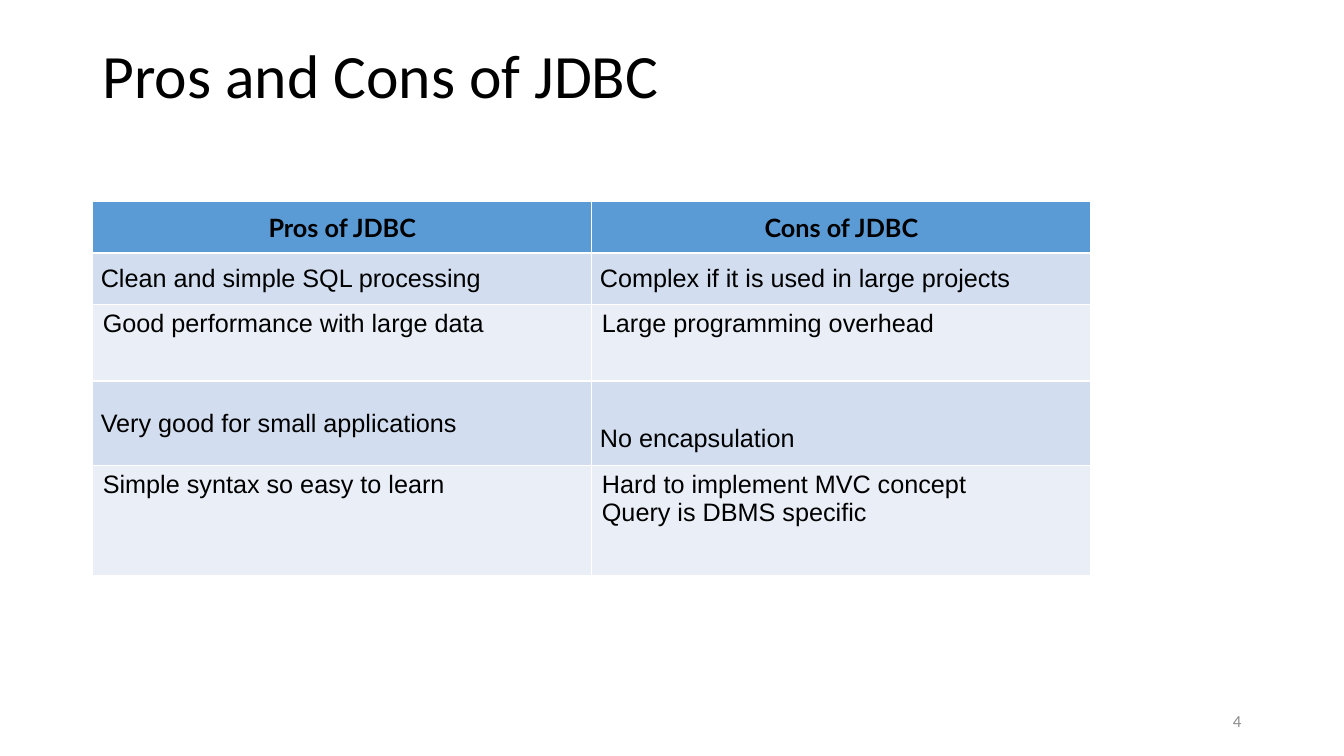
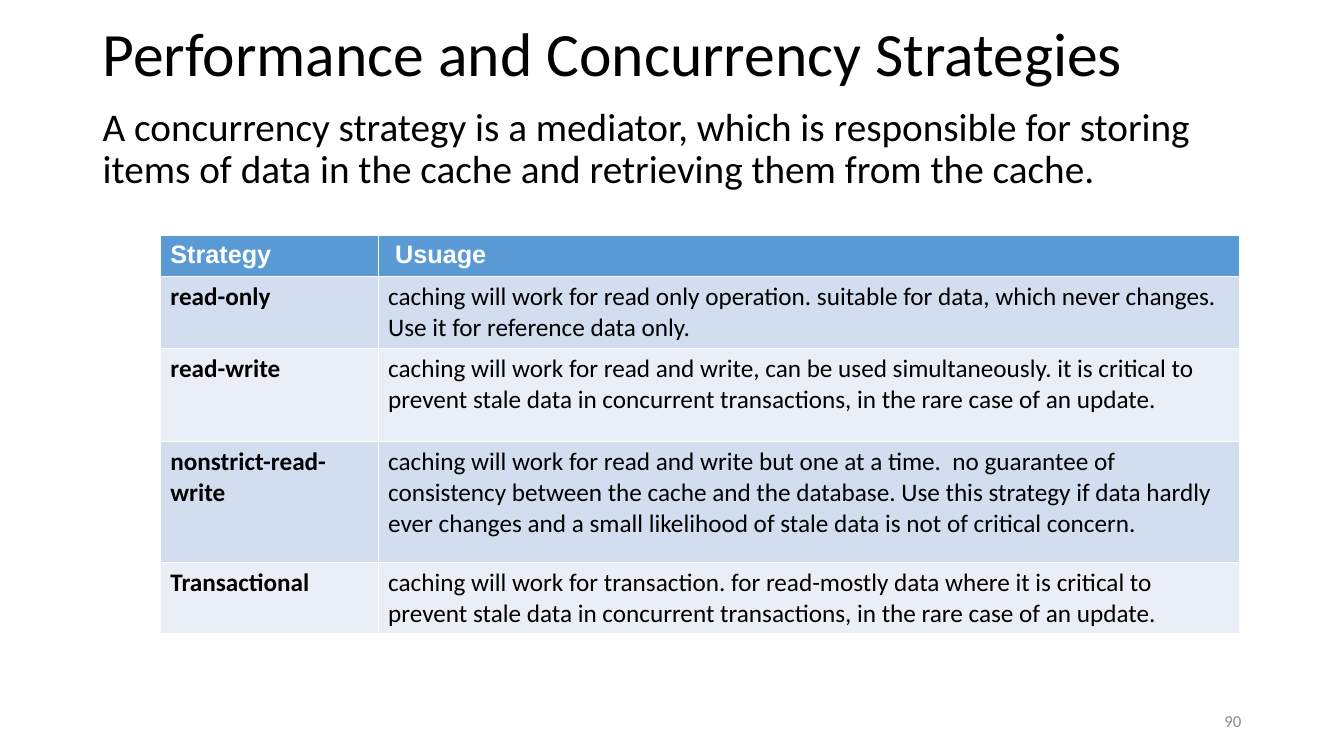
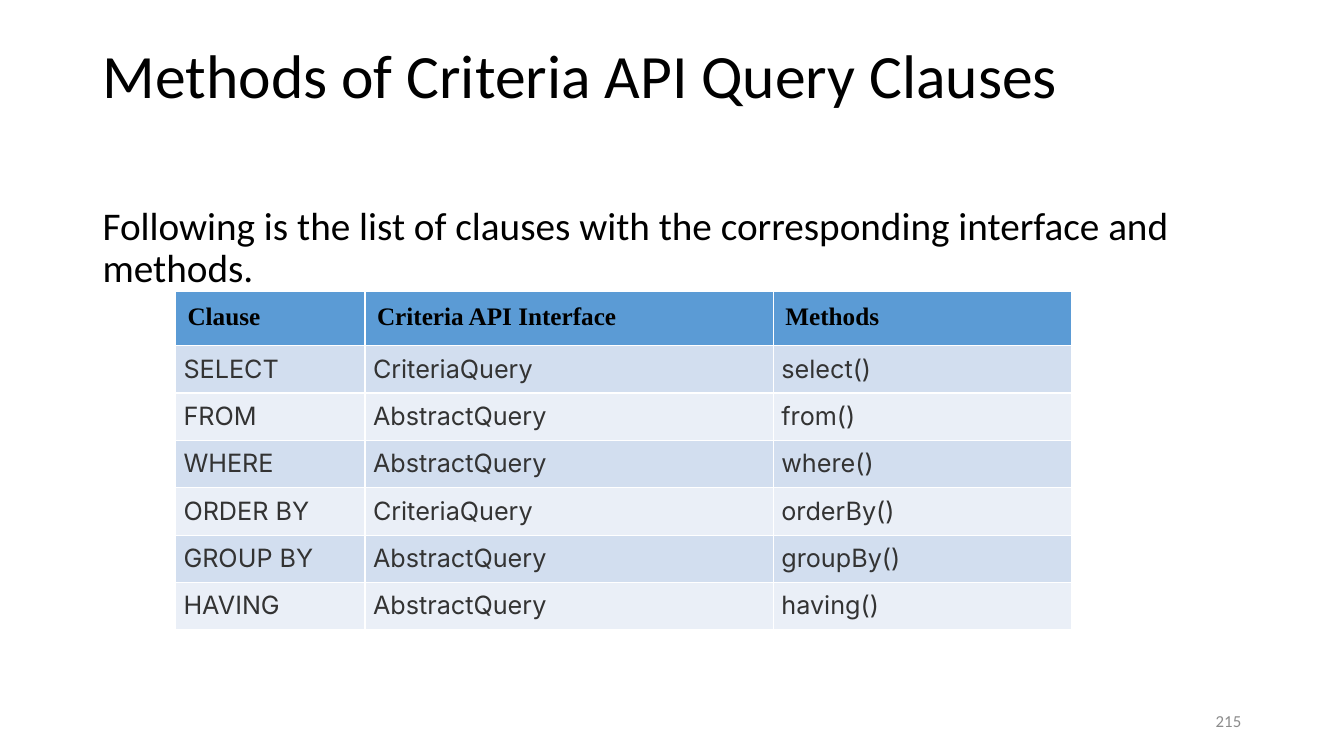
from lxml import etree
from pptx import Presentation
from pptx.dml.color import RGBColor
from pptx.enum.text import MSO_ANCHOR, PP_ALIGN
from pptx.oxml.ns import qn
from pptx.util import Inches, Pt

LEFT, CENTER, RIGHT, JUSTIFY = PP_ALIGN.LEFT, PP_ALIGN.CENTER, PP_ALIGN.RIGHT, PP_ALIGN.JUSTIFY
TOP, MIDDLE = MSO_ANCHOR.TOP, MSO_ANCHOR.MIDDLE

BLACK = RGBColor(0x00, 0x00, 0x00)
WHITE = RGBColor(0xFF, 0xFF, 0xFF)
CHARCOAL = RGBColor(0x33, 0x33, 0x33)
GRAY = RGBColor(0x8C, 0x8C, 0x8C)
HEADER_BLUE = RGBColor(0x5B, 0x9B, 0xD5)
BANDS = [RGBColor(0xEA, 0xEF, 0xF7), RGBColor(0xD2, 0xDE, 0xEF)]

# Shared page grid, in inches
SLIDE_WIDTH, SLIDE_HEIGHT = 13.33, 7.5
MARGIN = 0.92
CONTENT_WIDTH = SLIDE_WIDTH - 2 * MARGIN
NUMBER_WIDTH = 3
NUMBER_LEFT = SLIDE_WIDTH - MARGIN - NUMBER_WIDTH
TABLE_SIZE = 18


def write(frame, text, font, size, color, bold=False, align=LEFT, spacing=None):
    """Fill a text frame or a cell's text frame and format every run."""
    frame.text = text
    frame.word_wrap = True
    for para in frame.paragraphs:
        para.alignment = align
        if spacing:
            para.line_spacing = spacing
        for span in para.runs:
            span.font.name = font
            span.font.size = Pt(size)
            span.font.bold = bold
            span.font.color.rgb = color


def add_grid(page, left, top, columns, heights, texts, header_style, body_style):
    """Add a banded table; each style is a dict of arguments for write."""
    table = page.shapes.add_table(
        len(heights), len(columns), Inches(left), Inches(top),
        Inches(sum(columns)), Inches(sum(heights))).table
    for column, width in zip(table.columns, columns):
        column.width = Inches(width)
    for number, (height, row_texts) in enumerate(zip(heights, texts)):
        table.rows[number].height = Inches(height)
        for cell, text in zip(table.rows[number].cells, row_texts):
            cell.fill.solid()
            cell.fill.fore_color.rgb = BANDS[number % 2] if number else HEADER_BLUE
            write(cell.text_frame, text, size=TABLE_SIZE,
                  **(body_style if number else header_style))
    return table


deck = Presentation()
deck.slide_width, deck.slide_height = Inches(SLIDE_WIDTH), Inches(SLIDE_HEIGHT)

# Title, title top and height, bullet, bullet top and height, page number
outlines = [
    ("Pros and Cons of JDBC", 0.4, 1.45, None, 0, 0, "4"),
    ("Performance and Concurrency Strategies", 0.18, 0.84,
     "A concurrency strategy is a mediator, which is responsible for storing items of data "
     "in the cache and retrieving them from the cache.", 1.02, 5.74, "90"),
    ("Methods of Criteria API Query Clauses", 0.4, 1.45,
     "Following is the list of clauses with the corresponding interface and methods.",
     2, 4.76, "215"),
]
pages = []
for title, title_top, title_height, bullet, bullet_top, bullet_height, number in outlines:
    page = deck.slides.add_slide(deck.slide_layouts[6])
    pages.append(page)

    # Title
    box = page.shapes.add_textbox(Inches(MARGIN), Inches(title_top),
                                  Inches(CONTENT_WIDTH), Inches(title_height))
    write(box.text_frame, title, "Calibri", 44, BLACK, spacing=0.9)

    # Bullet with hanging indent
    if bullet:
        box = page.shapes.add_textbox(Inches(MARGIN), Inches(bullet_top),
                                      Inches(CONTENT_WIDTH), Inches(bullet_height))
        properties = box.text_frame.paragraphs[0]._p.get_or_add_pPr()
        properties.set("marL", str(Inches(0.25)))
        properties.set("indent", str(Inches(-0.25)))
        etree.SubElement(properties, qn("a:buFont"), typeface="Arial")
        etree.SubElement(properties, qn("a:buChar"), char="•")
        write(box.text_frame, bullet, "Calibri", 28, BLACK, spacing=0.9)

    # Page number
    box = page.shapes.add_textbox(Inches(NUMBER_LEFT), Inches(6.95),
                                  Inches(NUMBER_WIDTH), Inches(0.4))
    box.text_frame.vertical_anchor = MIDDLE
    write(box.text_frame, number, "Calibri", 12, GRAY, align=RIGHT)

jdbc_page, strategy_page, clause_page = pages

# Pros and cons table
jdbc_table = add_grid(
    jdbc_page, MARGIN, 2, [4.95, 4.95], [0.51, 0.51, 0.76, 0.84, 1.09],
    [("Pros of JDBC", "Cons of JDBC"),
     ("Clean and simple SQL processing", "Complex if it is used in large projects"),
     ("Good performance with large data", "Large programming overhead"),
     ("Very good for small applications", "No encapsulation"),
     ("Simple syntax so easy to learn",
      "Hard to implement MVC concept\nQuery is DBMS specific")],
    dict(font="Lato", color=BLACK, bold=True, align=CENTER),
    dict(font="Arial", color=BLACK))
for row_number in (0, 1, 3):
    for cell in jdbc_table.rows[row_number].cells:
        cell.vertical_anchor = MIDDLE
        cell.margin_left = cell.margin_right = Inches(0.08)
        cell.margin_top = cell.margin_bottom = Inches(0.08)
jdbc_table.cell(3, 1).margin_top = Inches(0.38)

# Concurrency strategy table
strategy_table = add_grid(
    strategy_page, 1.59, 2.34, [2.16, 8.54], [0.37, 0.72, 0.92, 1.2, 0.71],
    [("Strategy", "Usuage"),
     ("read-only",
      "caching will work for read only operation. suitable for data, which never changes. "
      "Use it for reference data only."),
     ("read-write",
      "caching will work for read and write, can be used simultaneously. it is critical to "
      "prevent stale data in concurrent transactions, in the rare case of an update."),
     ("nonstrict-read-write",
      "caching will work for read and write but one at a time.  no guarantee of consistency "
      "between the cache and the database. Use this strategy if data hardly ever changes "
      "and a small likelihood of stale data is not of critical concern."),
     ("Transactional",
      "caching will work for transaction. for read-mostly data where it is critical to "
      "prevent stale data in concurrent transactions, in the rare case of an update.")],
    dict(font="Arial", color=WHITE, bold=True),
    dict(font="Calibri", color=BLACK))
strategy_table.cell(0, 1).margin_left = Inches(0.17)
for row in strategy_table.rows:
    row.cells[0].text_frame.paragraphs[0].runs[0].font.bold = True

# Query clause table
clause_table = add_grid(
    clause_page, 1.74, 2.89, [1.88, 4.05, 2.96], [0.52] + [0.47] * 6,
    [("Clause", "Criteria API Interface", "Methods"),
     ("SELECT", "CriteriaQuery", "select()"),
     ("FROM", "AbstractQuery", "from()"),
     ("WHERE", "AbstractQuery", "where()"),
     ("ORDER BY", "CriteriaQuery", "orderBy()"),
     ("GROUP BY", "AbstractQuery", "groupBy()"),
     ("HAVING", "AbstractQuery", "having()")],
    dict(font="Times New Roman", color=BLACK, bold=True),
    dict(font="Inter", color=CHARCOAL, align=JUSTIFY))
for row_number, row in enumerate(clause_table.rows):
    inset = Inches(0.08 if row_number else 0.12)
    for cell in row.cells:
        cell.vertical_anchor = TOP
        cell.margin_left = cell.margin_right = inset
        cell.margin_top = cell.margin_bottom = inset

deck.save("out.pptx")
